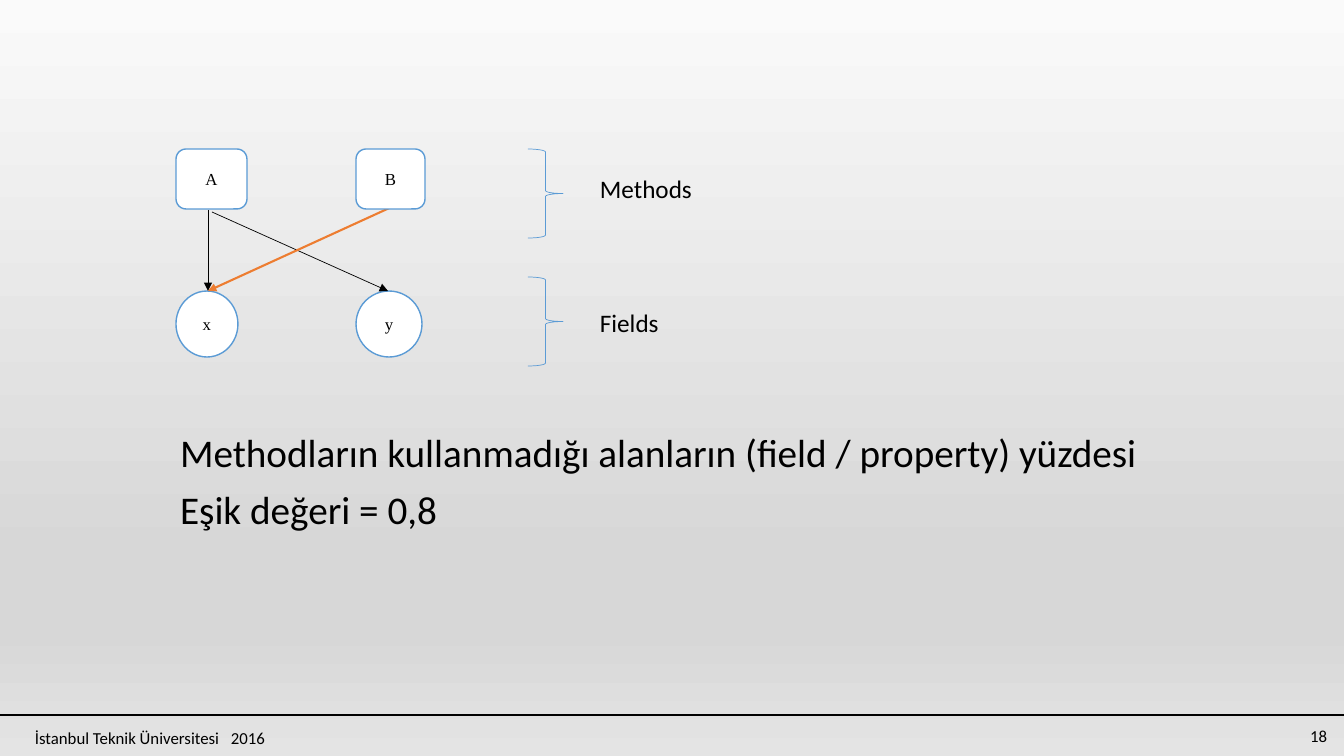
from copy import deepcopy

from pptx import Presentation
from pptx import util as u
from pptx.dml.color import RGBColor
from pptx.enum import shapes, text
from pptx.oxml import ns, xmlchemy as xml

BLACK = RGBColor(0x00, 0x00, 0x00)
WHITE = RGBColor(0xFF, 0xFF, 0xFF)
BLUE = RGBColor(0x5B, 0x9B, 0xD5)
ORANGE = RGBColor(0xED, 0x7D, 0x31)
STOPS = [
    (0, RGBColor(0xFA, 0xFA, 0xFA)),
    (0.74, RGBColor(0xD7, 0xD7, 0xD7)),
    (0.83, RGBColor(0xD7, 0xD7, 0xD7)),
    (1, RGBColor(0xE4, 0xE4, 0xE4)),
]
SHAPE = shapes.MSO_SHAPE
ALIGN = text.PP_ALIGN
MIDDLE = text.MSO_ANCHOR.MIDDLE
TOP = text.MSO_ANCHOR.TOP


def px(*nums):
    return [u.Emu(round(num * 914400 / 100.8)) for num in nums]


def paint(slide):
    fill = slide.background.fill
    fill.gradient()
    fill.gradient_angle = 270
    group = slide.element.find(".//" + ns.qn("a:gsLst"))
    for _ in range(len(STOPS) - len(group)):
        group.append(deepcopy(group[0]))
    for stop, (place, color) in zip(fill.gradient_stops, STOPS):
        stop.position = place
        stop.color.rgb = color


def style(frame, size, font="Calibri", align=ALIGN.LEFT, anchor=TOP):
    frame.vertical_anchor = anchor
    for para in frame.paragraphs:
        para.alignment = align
        for run in para.runs:
            run.font.size = u.Pt(size)
            run.font.name = font
            run.font.color.rgb = BLACK


def label(slide, words, box, size, align=ALIGN.LEFT, anchor=MIDDLE):
    frame = slide.shapes.add_textbox(*px(*box)).text_frame
    frame.word_wrap = True
    frame.text = words
    style(frame, size, align=align, anchor=anchor)
    return frame


def tab(frame, left):
    props = frame.paragraphs[0]._p.get_or_add_pPr()
    stops = xml.OxmlElement("a:tabLst")
    stop = xml.OxmlElement("a:tab")
    stop.set("pos", str(px(left)[0]))
    stop.set("algn", "l")
    stops.append(stop)
    props.append(stops)


def node(slide, kind, name, box):
    shape = slide.shapes.add_shape(kind, *px(*box))
    shape.shadow.inherit = False
    shape.fill.solid()
    shape.fill.fore_color.rgb = WHITE
    shape.line.color.rgb = BLUE
    shape.line.width = u.Pt(1)
    shape.text_frame.text = name
    style(shape.text_frame, 12, "Times New Roman", ALIGN.CENTER, MIDDLE)


def brace(slide, top):
    shape = slide.shapes.add_shape(SHAPE.RIGHT_BRACE, *px(528, top, 35, 89))
    shape.shadow.inherit = False
    shape.fill.background()
    shape.line.color.rgb = BLUE
    shape.line.width = u.Pt(0.5)


def line(slide, ends, color, width, head=False):
    link = slide.shapes.add_connector(shapes.MSO_CONNECTOR.STRAIGHT, *px(*ends))
    link.line.color.rgb = color
    link.line.width = u.Pt(width)
    if head:
        tip = xml.OxmlElement("a:tailEnd")
        tip.set("type", "triangle")
        link.line._get_or_add_ln().append(tip)
    link._element.spPr.append(xml.OxmlElement("a:effectLst"))


def body(slide, lines, box):
    title = slide.shapes.title
    title._element.getparent().remove(title._element)
    holder = slide.placeholders[1]
    holder.left, holder.top, holder.width, holder.height = px(*box)
    frame = holder.text_frame
    frame.text = "\n".join(lines)
    frame.auto_size = text.MSO_AUTO_SIZE.NONE
    frame.word_wrap = False
    style(frame, 28)
    for para in frame.paragraphs:
        para.space_before = u.Pt(0)
        para.space_after = u.Pt(7.6)
        props = para._p.get_or_add_pPr()
        props.set("marL", "0")
        props.set("indent", "0")
        props.append(xml.OxmlElement("a:buNone"))


def main():
    deck = Presentation()
    deck.slide_width, deck.slide_height = px(1344, 756)
    slide = deck.slides.add_slide(deck.slide_layouts[1])
    paint(slide)

    line(slide, (0, 715, 1344, 715), BLACK, 1)
    foot = label(slide, "İstanbul Teknik Üniversitesi\t2016", (25, 723, 302, 30), 12, anchor=TOP)
    tab(foot, 196)
    label(slide, "18", (1035, 716, 302, 40), 12, ALIGN.RIGHT)

    node(slide, SHAPE.OVAL, "x", (176, 291, 62, 66))
    node(slide, SHAPE.OVAL, "y", (356, 291, 66, 66))
    line(slide, (208, 210, 208, 291), BLACK, 0.5, True)
    line(slide, (212, 212, 388, 291), BLACK, 0.5, True)
    line(slide, (396, 205, 208, 291), ORANGE, 1.5, True)
    node(slide, SHAPE.ROUNDED_RECTANGLE, "A", (176, 149, 71, 60))
    node(slide, SHAPE.ROUNDED_RECTANGLE, "B", (356, 149, 69, 60))

    for name, top, mid in (("Methods", 149, 188), ("Fields", 277, 322)):
        brace(slide, top)
        label(slide, name, (590, mid - 20, 119, 40), 18)

    body(slide, [
        "Methodların kullanmadığı alanların (field / property) yüzdesi",
        "Eşik değeri = 0,8",
    ], (170, 423, 987, 117))
    deck.save("out.pptx")


if __name__ == "__main__":
    main()
